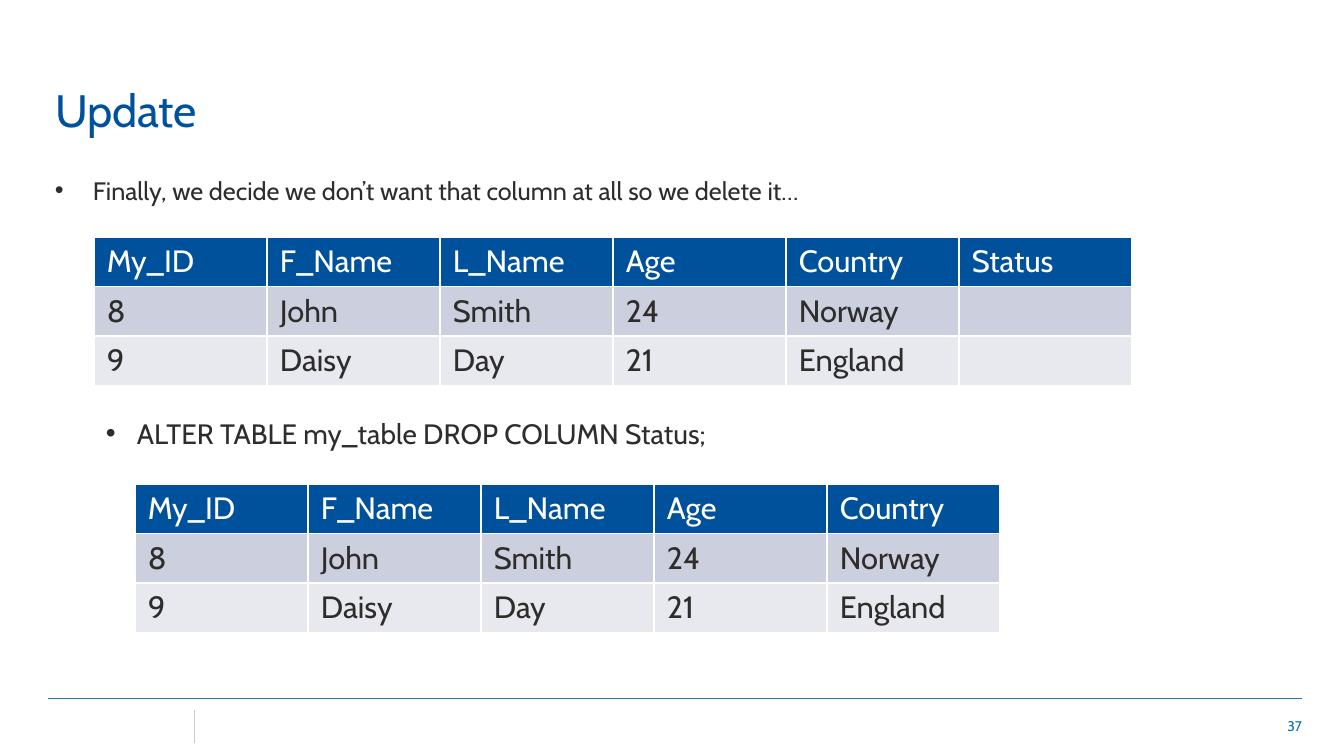
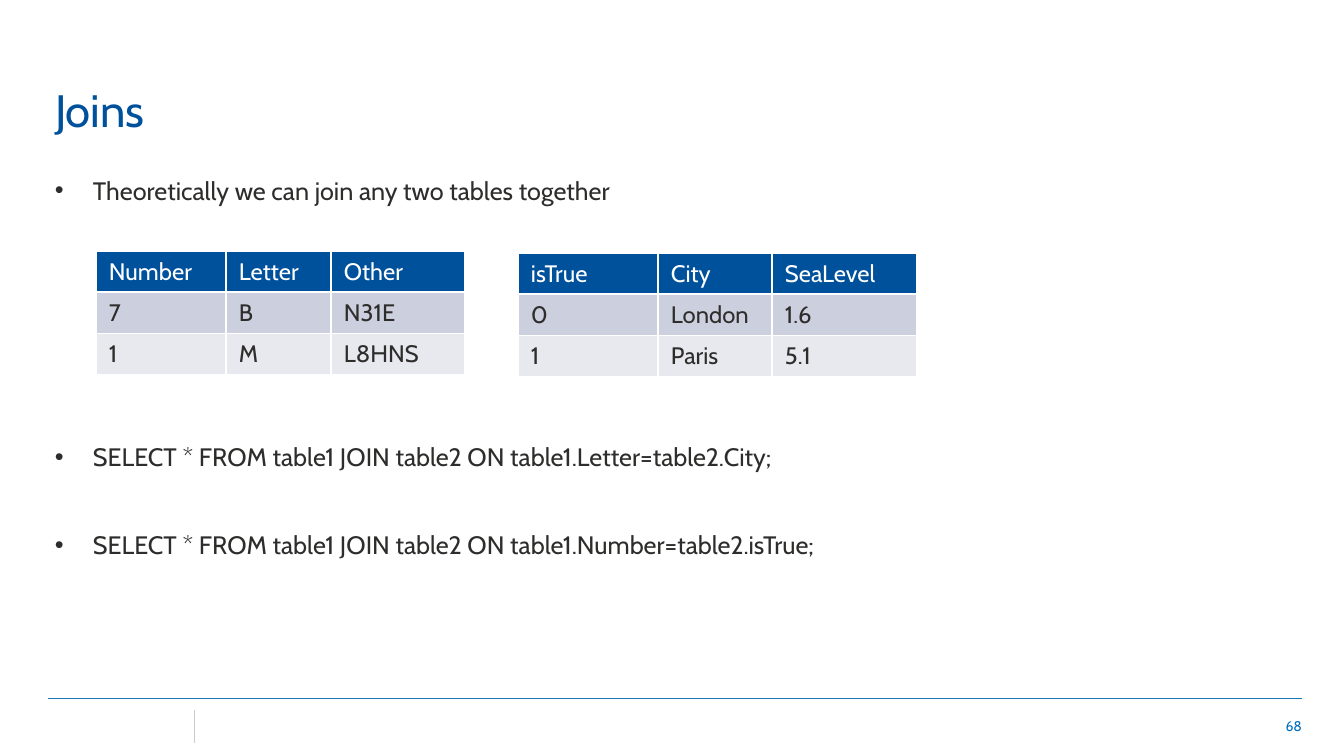
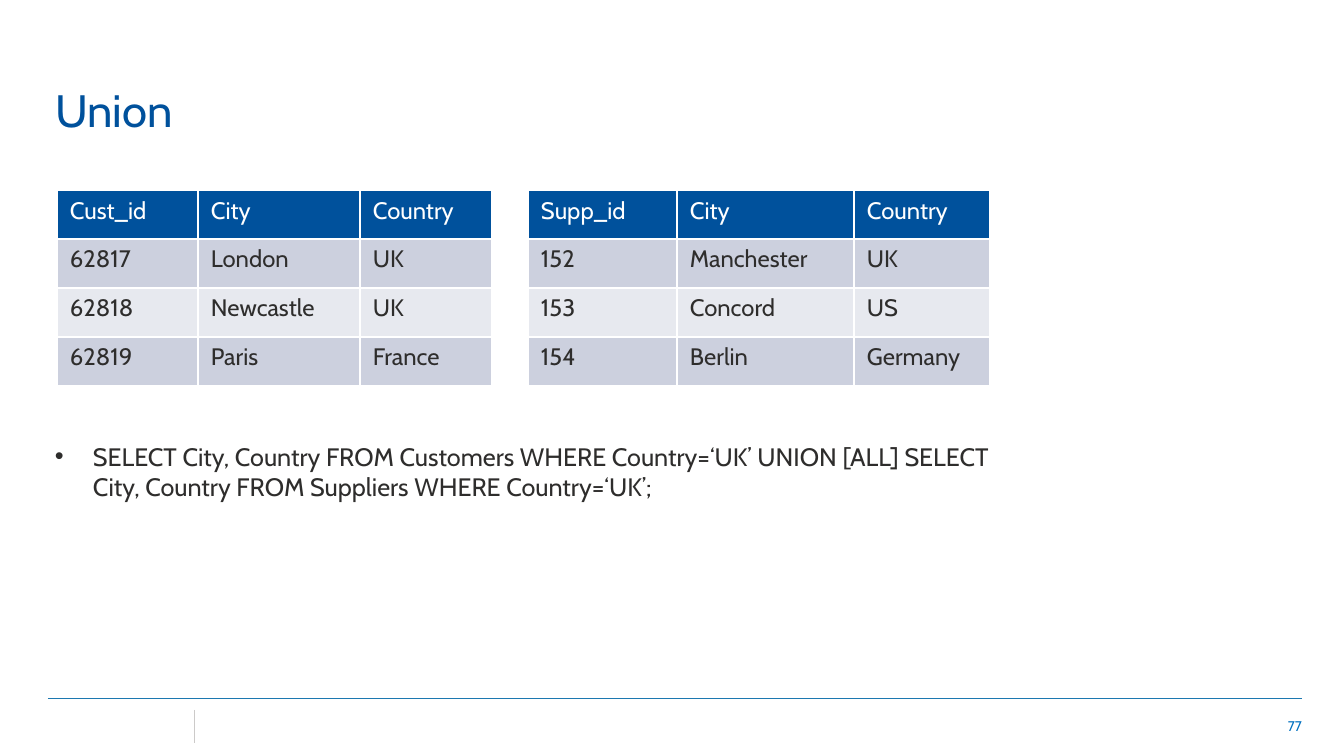
import pptx
import pptx.dml.color
import pptx.enum.shapes
import pptx.enum.text
import pptx.oxml
import pptx.util

EMU = 12192000 / 1344
HUES = {
    "navy": "00519C", "ink": "2E2D2C", "white": "FFFFFF", "blue": "0070C0",
    "rule": "1C78B0", "gray": "CCCAC9", "dark": "CCD0DE", "light": "E7E9EF",
}
ALIGN = pptx.enum.text.PP_ALIGN
ANCHOR = pptx.enum.text.MSO_ANCHOR
INSETS = {"margin_left": 10, "margin_right": 10, "margin_top": 5, "margin_bottom": 5}
CELL = {"margin_left": 13, "margin_right": 13, "margin_top": 6, "margin_bottom": 6}
# Per bullet level: text size, left margin and hanging indent
LEVELS = [(18, 38, 38), (20, 82, 31)]


def px(num):
    return pptx.util.Emu(round(num * EMU))


def hue(name):
    return pptx.dml.color.RGBColor.from_string(HUES[name])


def apply(item, form):
    for key, val in form.items():
        setattr(item, key, val)


def pad(item, form):
    apply(item, {key: px(val) for key, val in form.items()})


def write(para, text, size, color):
    run = para.add_run()
    run.text = text
    apply(run.font, {"name": "Cabin", "size": pptx.util.Pt(size), "bold": False})
    run.font.color.rgb = hue(color)


def setup(frame, anchor):
    apply(frame, {"word_wrap": True, "vertical_anchor": anchor,
                  "auto_size": pptx.enum.text.MSO_AUTO_SIZE.NONE})
    pad(frame, INSETS)
    return frame


def box(slide, left, top, width, height, anchor=ANCHOR.TOP):
    shape = slide.shapes.add_textbox(*map(px, (left, top, width, height)))
    return setup(shape.text_frame, anchor)


def rule(slide, ends, color):
    kind = pptx.enum.shapes.MSO_CONNECTOR.STRAIGHT
    line = slide.shapes.add_connector(kind, *map(px, ends))
    line.line.color.rgb = hue(color)
    line.line.width = pptx.util.Pt(0.25)
    props = line._element.spPr
    props.append(props.makeelement(pptx.oxml.ns.qn("a:effectLst"), {}))


def page(deck, name, number):
    """Add a slide with its title, footer rules and page number."""
    slide = deck.slides.add_slide(deck.slide_layouts[5])
    title = slide.shapes.title
    pad(title, {"left": 45, "top": 72, "width": 1006, "height": 70})
    para = setup(title.text_frame, ANCHOR.BOTTOM).paragraphs[0]
    para.alignment = ALIGN.LEFT
    write(para, name, 32.4, "navy")
    rule(slide, (48, 698, 1302, 698), "rule")
    rule(slide, (194, 710, 194, 743), "gray")
    para = box(slide, 999, 706, 313, 40, ANCHOR.MIDDLE).paragraphs[0]
    para.alignment = ALIGN.RIGHT
    write(para, str(number), 10, "blue")
    return slide


def bullets(slide, items, top=170, width=1257):
    """Write items of (gap above in px, level, text) in one box."""
    frame = box(slide, 45, top, width, 671 - top)
    for pos, (gap, level, text) in enumerate(items):
        para = frame.add_paragraph() if pos else frame.paragraphs[0]
        size, left, hang = LEVELS[level]
        props = para._p.get_or_add_pPr()
        props.set("marL", str(px(left)))
        props.set("indent", str(-px(hang)))
        for tag, key, val in (("buFont", "typeface", "Arial"), ("buChar", "char", "•")):
            props.append(props.makeelement(pptx.oxml.ns.qn("a:" + tag), {key: val}))
        para.level = level
        if gap:
            para.space_before = px(gap)
        write(para, text, size, "ink")


def grid(slide, left, top, widths, height, size, rows):
    shape = slide.shapes.add_table(len(rows), len(widths), *map(
        px, (left, top, sum(widths), height * len(rows))))
    table = shape.table
    for col, width in zip(table.columns, widths):
        col.width = px(width)
    for pos, texts in enumerate(rows):
        table.rows[pos].height = px(height)
        fill = ("dark" if pos % 2 else "light") if pos else "navy"
        for cell, text in zip(table.rows[pos].cells, texts):
            pad(cell, CELL)
            cell.fill.solid()
            cell.fill.fore_color.rgb = hue(fill)
            if text:
                write(cell.text_frame.paragraphs[0], text, size,
                      "ink" if pos else "white")


def update(deck):
    slide = page(deck, "Update", 37)
    bullets(slide, [
        (0, 0, "Finally, we decide we don’t want that column at all so we delete it…"),
        (211, 1, "ALTER TABLE my_table DROP COLUMN Status;"),
    ])
    people = [
        ("My_ID", "F_Name", "L_Name", "Age", "Country", "Status"),
        ("8", "John", "Smith", "24", "Norway", ""),
        ("9", "Daisy", "Day", "21", "England", ""),
    ]
    grid(slide, 94, 237, [173] * 6, 49, 22, people)
    grid(slide, 135, 484, [173] * 5, 49, 22, [row[:5] for row in people])


def joins(deck):
    slide = page(deck, "Joins", 68)
    bullets(slide, [
        (0, 0, "Theoretically we can join any two tables together"),
        (236, 0, "SELECT * FROM table1 JOIN table2 ON table1.Letter=table2.City;"),
        (58, 0, "SELECT * FROM table1 JOIN table2 ON table1.Number=table2.isTrue;"),
    ])
    grid(slide, 96, 251, (130, 105, 134), 41, 17, [
        ("Number", "Letter", "Other"),
        ("7", "B", "N31E"),
        ("1", "M", "L8HNS"),
    ])
    grid(slide, 518, 253, (140, 114, 145), 41, 17, [
        ("isTrue", "City", "SeaLevel"),
        ("0", "London", "1.6"),
        ("1", "Paris", "5.1"),
    ])


def union(deck):
    slide = page(deck, "Union", 77)
    bullets(slide, [
        (0, 0, "SELECT City, Country FROM Customers WHERE Country=‘UK’ UNION [ALL] "
               "SELECT City, Country FROM Suppliers WHERE Country=‘UK’;"),
    ], top=436, width=976)
    grid(slide, 57, 190, (141, 162, 132), 49, 17, [
        ("Cust_id", "City", "Country"),
        ("62817", "London", "UK"),
        ("62818", "Newcastle", "UK"),
        ("62819", "Paris", "France"),
    ])
    grid(slide, 528, 190, (149, 177, 136), 49, 17, [
        ("Supp_id", "City", "Country"),
        ("152", "Manchester", "UK"),
        ("153", "Concord", "US"),
        ("154", "Berlin", "Germany"),
    ])


def main():
    deck = pptx.Presentation()
    deck.slide_width, deck.slide_height = px(1344), px(756)
    for build in (update, joins, union):
        build(deck)
    deck.save("out.pptx")


if __name__ == "__main__":
    main()
